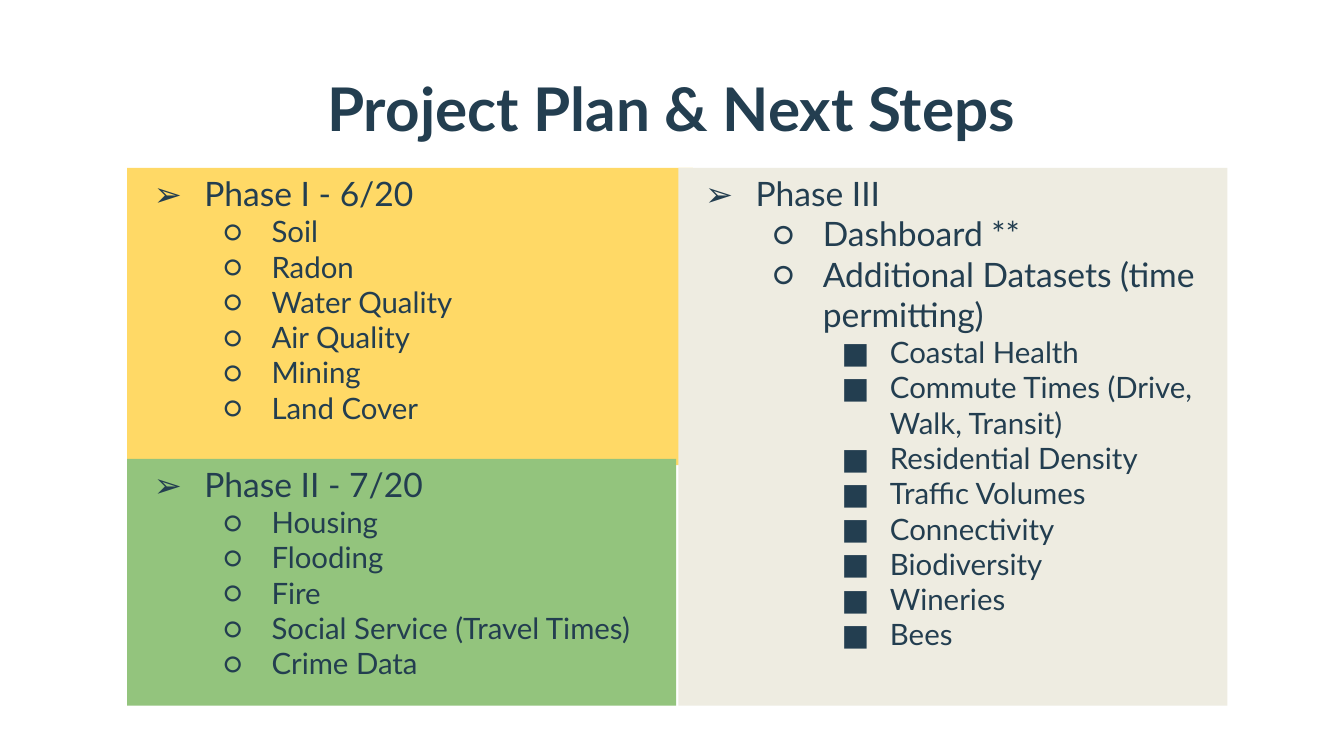
from dataclasses import dataclass

from lxml.etree import SubElement
from pptx import Presentation
from pptx.dml.color import RGBColor
from pptx.enum.text import MSO_ANCHOR, MSO_AUTO_SIZE, PP_ALIGN
from pptx.oxml.ns import qn
from pptx.util import Pt

EMU_PER_PX = 9525
COMPARISON_LAYOUT = 4


@dataclass(frozen=True)
class Theme:
    font: str = "Lato"
    ink: str = "233E50"
    yellow: str = "FFD966"
    green: str = "93C47D"
    beige: str = "EEECE1"
    title_size: int = 43
    heading_size: int = 24
    item_size: int = 21


THEME = Theme()
BULLETS = "➢○■"
LEVEL_INDENT = 64
HANGING = {THEME.heading_size: 48, THEME.item_size: 46}

PHASE_ONE = [
    (0, "Phase I - 6/20"),
    (1, "Soil"),
    (1, "Radon"),
    (1, "Water Quality"),
    (1, "Air Quality"),
    (1, "Mining"),
    (1, "Land Cover"),
]
PHASE_TWO = [
    (0, "Phase II - 7/20"),
    (1, "Housing"),
    (1, "Flooding"),
    (1, "Fire"),
    (1, "Social Service (Travel Times)"),
    (1, "Crime Data"),
]
PHASE_THREE = [
    (0, "Phase III"),
    (1, "Dashboard **"),
    (1, "Additional Datasets (time permitting)"),
    (2, "Coastal Health"),
    (2, "Commute Times (Drive, Walk, Transit)"),
    (2, "Residential Density"),
    (2, "Traffic Volumes"),
    (2, "Connectivity"),
    (2, "Biodiversity"),
    (2, "Wineries"),
    (2, "Bees"),
]


def px(length):
    return length * EMU_PER_PX


def place(shape, box, anchor):
    shape.left, shape.top, shape.width, shape.height = map(px, box)
    text_frame = shape.text_frame
    text_frame.word_wrap = True
    text_frame.auto_size = MSO_AUTO_SIZE.NONE
    text_frame.vertical_anchor = anchor


def style_font(paragraph, size, bold=False):
    font = paragraph.font
    font.name = THEME.font
    font.size = Pt(size)
    font.bold = bold
    font.color.rgb = RGBColor.from_string(THEME.ink)


def add_bullet(paragraph, level, size):
    properties = paragraph._p.get_or_add_pPr()
    properties.set("marL", str(px(LEVEL_INDENT * (level + 1))))
    properties.set("indent", str(-px(HANGING[size])))
    color = SubElement(properties, qn("a:buClr"))
    SubElement(color, qn("a:srgbClr"), val=THEME.ink)
    SubElement(properties, qn("a:buFont"), typeface=THEME.font)
    SubElement(properties, qn("a:buChar"), char=BULLETS[level])


def fill_title(shape, box, text):
    place(shape, box, MSO_ANCHOR.MIDDLE)
    shape.text_frame.text = text
    paragraph = shape.text_frame.paragraphs[0]
    paragraph.alignment = PP_ALIGN.CENTER
    style_font(paragraph, THEME.title_size, bold=True)


def fill_phase(shape, box, color, items, item_level=1):
    place(shape, box, MSO_ANCHOR.TOP)
    shape.fill.solid()
    shape.fill.fore_color.rgb = RGBColor.from_string(color)
    text_frame = shape.text_frame
    text_frame.text = "\n".join(text for _, text in items)
    for paragraph, (level, _) in zip(text_frame.paragraphs, items):
        size = THEME.heading_size if level < item_level else THEME.item_size
        paragraph.level = level
        paragraph.space_before = Pt(0)
        add_bullet(paragraph, level, size)
        style_font(paragraph, size)


def build_plan_slide(presentation):
    layout = presentation.slide_layouts[COMPARISON_LAYOUT]
    slide = presentation.slides.add_slide(layout)
    title, first, third, second, spare = slide.placeholders
    spare.element.getparent().remove(spare.element)

    fill_title(title, (43, 62, 1192, 80), "Project Plan & Next Steps")
    fill_phase(first, (121, 160, 539, 283), THEME.yellow, PHASE_ONE)
    fill_phase(third, (646, 160, 523, 512), THEME.beige, PHASE_THREE, item_level=2)
    fill_phase(second, (121, 437, 523, 235), THEME.green, PHASE_TWO)


def main():
    presentation = Presentation()
    presentation.slide_width = px(1280)
    presentation.slide_height = px(720)
    build_plan_slide(presentation)
    presentation.save("out.pptx")


if __name__ == "__main__":
    main()
